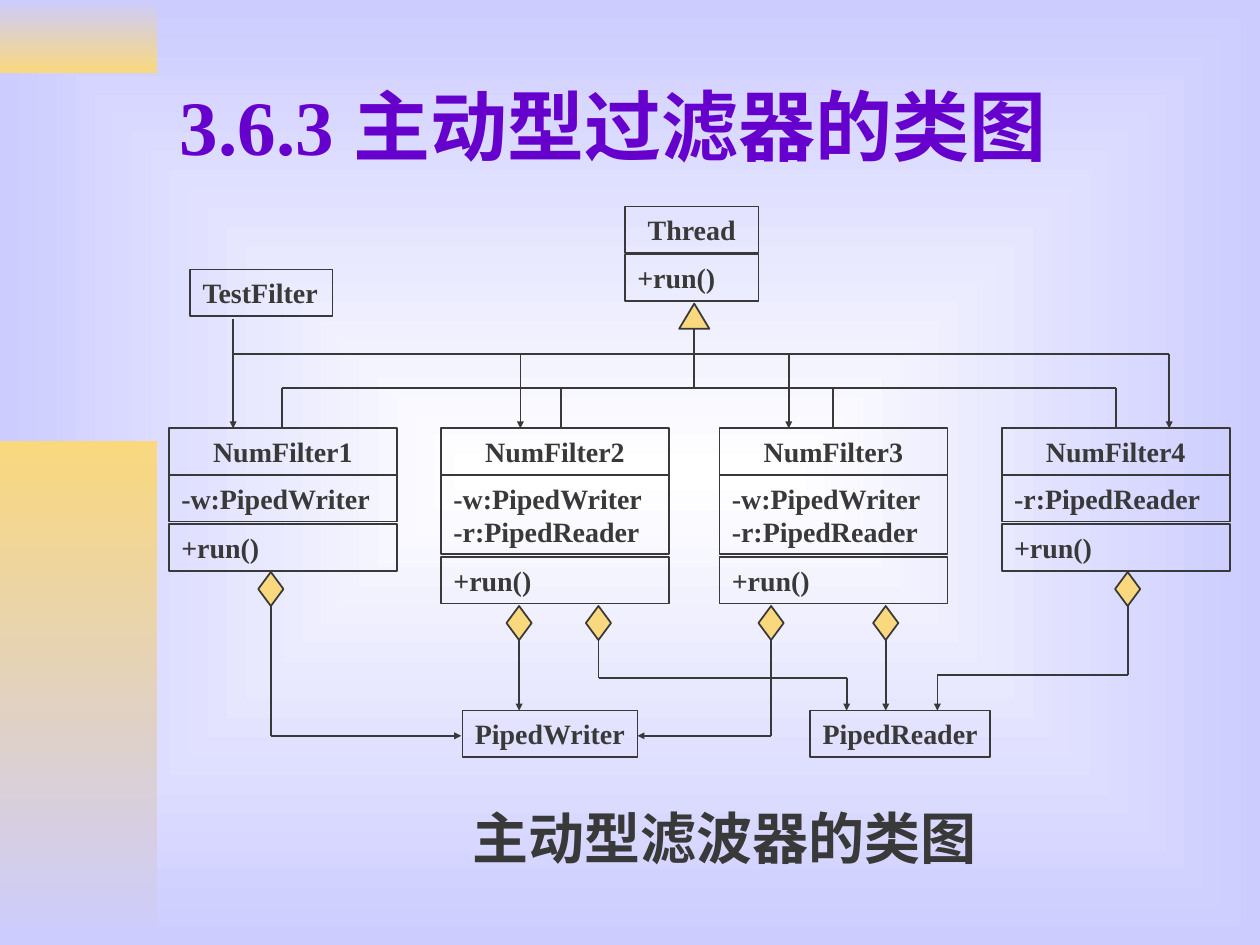
from dataclasses import dataclass
from itertools import pairwise

from lxml.etree import SubElement
from pptx import Presentation
from pptx.dml.color import RGBColor
from pptx.enum.shapes import MSO_CONNECTOR as Connector, MSO_SHAPE as Shape
from pptx.enum.text import MSO_ANCHOR as Anchor, PP_ALIGN as Align
from pptx.oxml.ns import qn
from pptx.util import Inches, Pt


@dataclass(frozen=True)
class Theme:
    font: str = "Times New Roman"
    ink: str = "393939"
    title_color: str = "6600CC"
    gold: str = "F9D87E"
    lavender: str = "CCCCFF"
    white: str = "FFFFFF"
    title_size: int = 44
    caption_size: int = 32
    label_size: int = 16
    line_width: int = 1


class ClassDiagram:
    def __init__(self, slide, theme):
        self.slide = slide
        self.theme = theme

    def gradient(self, fill, colors):
        fill.gradient()
        for stop, color in zip(fill.gradient_stops, colors):
            stop.color.rgb = RGBColor.from_string(color)

    def background(self):
        self.gradient(self.slide.background.fill, (self.theme.white, self.theme.lavender))
        glow = self.slide.element.find(".//" + qn("a:gradFill"))
        glow.remove(glow.find(qn("a:lin")))
        spread = SubElement(glow, qn("a:path"))
        spread.set("path", "rect")
        center = SubElement(spread, qn("a:fillToRect"))
        for side in "ltrb":
            center.set(side, "50000")

    def shape(self, kind, left, top, width, height):
        shape = self.slide.shapes.add_shape(
            kind, Inches(left), Inches(top), Inches(width), Inches(height))
        shape.shadow.inherit = False
        return shape

    def outline(self, line):
        line.color.rgb = RGBColor.from_string(self.theme.ink)
        line.width = Pt(self.theme.line_width)

    def side_bar(self, top, height, colors):
        bar = self.shape(Shape.RECTANGLE, 0, top, 1.25, height)
        self.gradient(bar.fill, colors)
        bar.fill.gradient_angle = 270
        bar.line.fill.background()

    def label(self, frame, text, size, color, align=Align.LEFT, anchor=Anchor.TOP, wrap=True):
        frame.word_wrap = wrap
        frame.vertical_anchor = anchor
        paragraph = frame.paragraphs[0]
        paragraph.text = text
        paragraph.alignment = align
        font = paragraph.font
        font.name = self.theme.font
        font.size = Pt(size)
        font.bold = True
        font.color.rgb = RGBColor.from_string(color)
        return paragraph

    def heading(self, left, top, width, height, *style, **layout):
        box = self.slide.shapes.add_textbox(
            Inches(left), Inches(top), Inches(width), Inches(height))
        return self.label(box.text_frame, *style, **layout)

    def compartment(self, text, left, top, width, height=0.37, align=Align.LEFT, wrap=True):
        cell = self.shape(Shape.RECTANGLE, left, top, width, height)
        cell.fill.background()
        self.outline(cell.line)
        self.label(cell.text_frame, text, self.theme.label_size, self.theme.ink,
                   align=align, wrap=wrap)

    def marker(self, kind, center, top, width, height):
        marker = self.shape(kind, center - width / 2, top, width, height)
        marker.fill.solid()
        marker.fill.fore_color.rgb = RGBColor.from_string(self.theme.gold)
        self.outline(marker.line)

    def route(self, *points, arrow=False):
        for start, end in pairwise(points):
            segment = self.slide.shapes.add_connector(
                Connector.STRAIGHT, *(Inches(value) for value in start + end))
            self.outline(segment.line)
            properties = segment.element.spPr
            if arrow and end == points[-1]:
                SubElement(properties.find(qn("a:ln")), qn("a:tailEnd"),
                           type="triangle", w="sm", len="sm")
            SubElement(properties, qn("a:effectLst"))


def main():
    deck = Presentation()
    deck.slide_width, deck.slide_height = Inches(10), Inches(7.5)
    theme = Theme()
    diagram = ClassDiagram(deck.slides.add_slide(deck.slide_layouts[6]), theme)

    diagram.background()
    diagram.side_bar(0, 0.58, (theme.lavender, theme.gold))
    diagram.side_bar(3.5, 4, (theme.gold, theme.lavender))
    diagram.heading(1.33, 0.33, 8.5, 1.32, "3.6.3 主动型过滤器的类图",
                    theme.title_size, theme.title_color, anchor=Anchor.MIDDLE)
    caption = diagram.heading(1.5, 6.39, 8.5, 0.63, "主动型滤波器的类图",
                              theme.caption_size, theme.ink, align=Align.CENTER)
    caption.line_spacing = 0.9

    diagram.compartment("Thread", 4.96, 1.64, 1.06, align=Align.CENTER)
    diagram.compartment("+run()", 4.96, 2.02, 1.06)

    filter_top, filter_width = 3.4, 1.81
    fields_top = filter_top + 0.37
    writer, reader = "-w:PipedWriter", "-r:PipedReader"
    filters = (
        ("NumFilter1", 1.34, (writer,)),
        ("NumFilter2", 3.5, (writer, reader)),
        ("NumFilter3", 5.71, (writer, reader)),
        ("NumFilter4", 7.95, (reader,)),
    )
    for name, left, fields in filters:
        fields_height = 0.37 + 0.26 * (len(fields) - 1)
        diagram.compartment(name, left, filter_top, filter_width, align=Align.CENTER)
        diagram.compartment("\v".join(fields), left, fields_top, filter_width, fields_height)
        diagram.compartment("+run()", left, fields_top + fields_height + 0.02, filter_width)

    for name, left, top, width in (
        ("TestFilter", 1.51, 2.14, 1.13),
        ("PipedReader", 6.43, 5.64, 1.43),
        ("PipedWriter", 3.67, 5.64, 1.39),
    ):
        diagram.compartment(name, left, top, width, wrap=False)

    inherit_y = 3.08
    diagram.route((2.24, inherit_y), (8.86, inherit_y))
    for x in (2.24, 4.45, 6.61, 8.86):
        diagram.route((x, inherit_y), (x, filter_top))
    diagram.route((5.51, 2.61), (5.51, inherit_y))
    diagram.marker(Shape.ISOSCELES_TRIANGLE, 5.51, 2.41, 0.24, 0.2)

    create_y = 2.81
    diagram.route((1.85, 2.53), (1.85, filter_top), arrow=True)
    diagram.route((1.85, create_y), (9.28, create_y))
    for x in (4.13, 6.26, 9.28):
        diagram.route((x, create_y), (x, filter_top), arrow=True)

    short_top, long_top, diamond_height = 4.54, 4.81, 0.27
    pipe_top, writer_y = 5.64, 5.84
    pipes = (
        (2.15, short_top, ((2.15, writer_y), (3.66, writer_y))),
        (4.12, long_top, ((4.12, pipe_top),)),
        (4.75, long_top, ((4.75, 5.38), (6.72, 5.38), (6.72, pipe_top))),
        (6.12, long_top, ((6.12, writer_y), (5.06, writer_y))),
        (7.03, long_top, ((7.03, pipe_top),)),
        (8.95, short_top, ((8.95, 5.36), (7.44, 5.36), (7.44, pipe_top))),
    )
    for x, top, turns in pipes:
        diagram.marker(Shape.DIAMOND, x, top, 0.2, diamond_height)
        diagram.route((x, top + diamond_height), *turns, arrow=True)

    deck.save("out.pptx")


if __name__ == "__main__":
    main()
